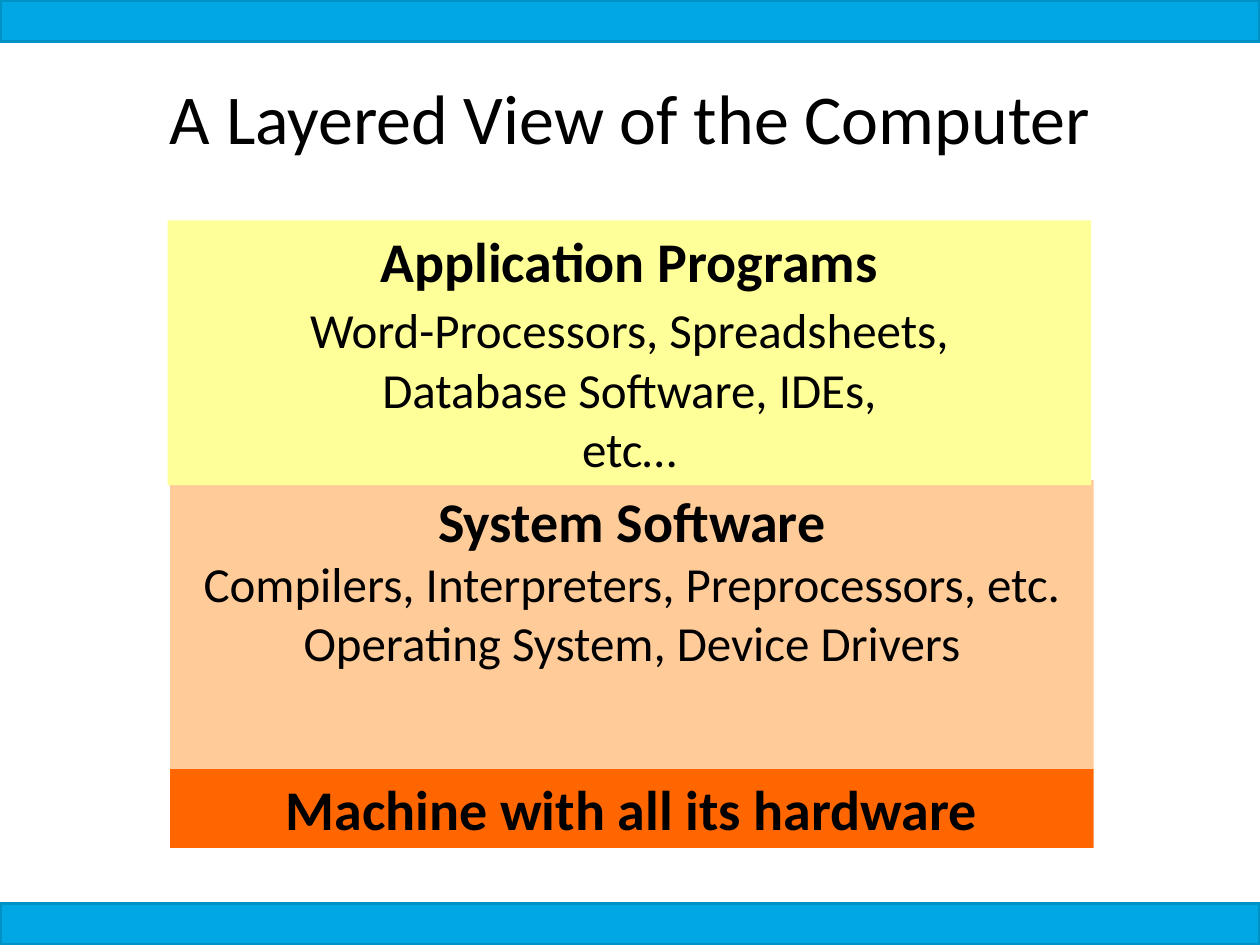
from dataclasses import dataclass

import pptx
import pptx.dml.color
import pptx.enum.shapes
import pptx.enum.text
import pptx.util

EMU_PER_PX = 9144
SLIDE_WIDTH, SLIDE_HEIGHT = 1000, 750
BAR_HEIGHT = 33
LAYER_WIDTH = 733
FONT = "Calibri"
COLORS = {
    "text": "000000",
    "hardware": "FF6600",
    "system": "FFCC99",
    "application": "FFFF99",
    "bar": "00A7E2",
    "bar_line": "0091C4",
}


@dataclass(frozen=True)
class Line:
    text: str
    size: int = 28
    bold: bool = False
    gap: int = 0


@dataclass(frozen=True)
class Layer:
    left: int
    top: int
    height: int
    color: str
    lines: tuple[Line, ...]


LAYERS = (
    Layer(135, 610, 63, "hardware", (
        Line("Machine with all its hardware", 32, True),
    )),
    Layer(135, 381, 229, "system", (
        Line("System Software", 32, True),
        Line("Compilers, Interpreters, Preprocessors, etc."),
        Line("Operating System, Device Drivers"),
    )),
    Layer(133, 175, 210, "application", (
        Line("Application Programs", 32, True),
        Line("Word-Processors, Spreadsheets,", gap=3),
        Line("Database Software, IDEs,", gap=1),
        Line("etc…"),
    )),
)


def px(length: int) -> pptx.util.Emu:
    return pptx.util.Emu(length * EMU_PER_PX)


def rgb(name: str) -> pptx.dml.color.RGBColor:
    return pptx.dml.color.RGBColor.from_string(COLORS[name])


def write_lines(frame, lines: tuple[Line, ...]) -> None:
    frame.word_wrap = True
    frame.text = "\n".join(line.text for line in lines)
    for para, line in zip(frame.paragraphs, lines):
        para.alignment = pptx.enum.text.PP_ALIGN.CENTER
        para.space_before = pptx.util.Pt(line.gap)
        for span in para.runs:
            span.font.name = FONT
            span.font.size = pptx.util.Pt(line.size)
            span.font.bold = line.bold
            span.font.color.rgb = rgb("text")


def add_rectangle(slide, left: int, top: int, width: int, height: int, color: str):
    box = slide.shapes.add_shape(
        pptx.enum.shapes.MSO_SHAPE.RECTANGLE, px(left), px(top), px(width), px(height)
    )
    box.shadow.inherit = False
    box.fill.solid()
    box.fill.fore_color.rgb = rgb(color)
    box.line.fill.background()
    return box


def add_title(slide, text: str) -> None:
    title = slide.shapes.title
    title.left, title.top, title.width, title.height = map(px, (50, 30, 900, 125))
    write_lines(title.text_frame, (Line(text, 40),))
    title.text_frame.vertical_anchor = pptx.enum.text.MSO_ANCHOR.MIDDLE


def add_layer(slide, layer: Layer) -> None:
    box = add_rectangle(
        slide, layer.left, layer.top, LAYER_WIDTH, layer.height, layer.color
    )
    box.text_frame.vertical_anchor = pptx.enum.text.MSO_ANCHOR.TOP
    write_lines(box.text_frame, layer.lines)


def add_bar(slide, top: int) -> None:
    bar = add_rectangle(slide, 0, top, SLIDE_WIDTH, BAR_HEIGHT, "bar")
    bar.line.color.rgb = rgb("bar_line")
    bar.line.width = pptx.util.Pt(2)


def main() -> None:
    deck = pptx.Presentation()
    deck.slide_width, deck.slide_height = px(SLIDE_WIDTH), px(SLIDE_HEIGHT)
    slide = deck.slides.add_slide(deck.slide_layouts.get_by_name("Title Only"))
    add_title(slide, "A Layered View of the Computer")
    for layer in LAYERS:
        add_layer(slide, layer)
    for top in (0, SLIDE_HEIGHT - BAR_HEIGHT):
        add_bar(slide, top)
    deck.save("out.pptx")


if __name__ == "__main__":
    main()
